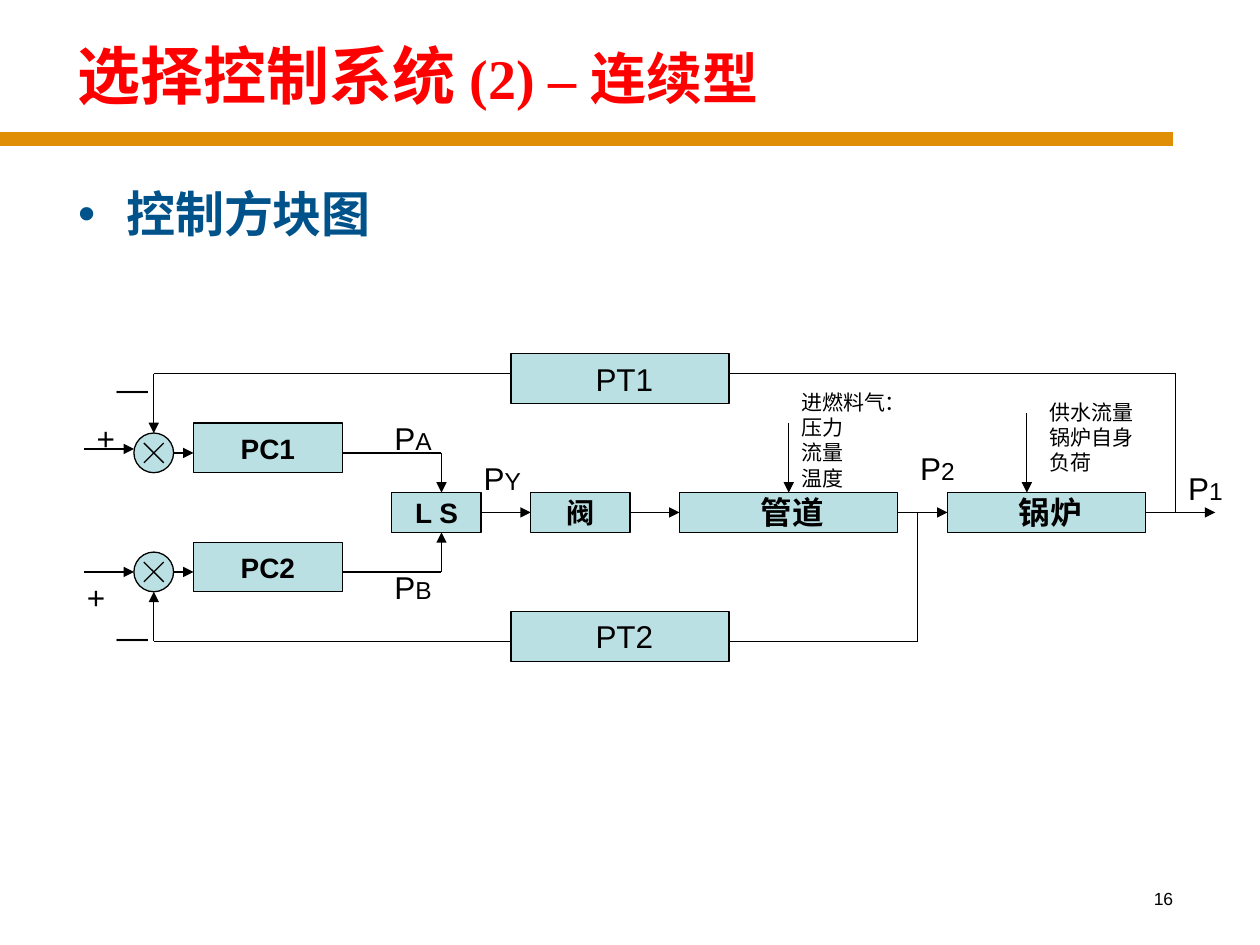
"""Build a slide with the block diagram of a continuous selective control system."""
from dataclasses import dataclass
from typing import Any, Optional

from lxml import etree
from pptx import Presentation
from pptx import util as u
from pptx.dml.color import RGBColor
from pptx.enum import shapes, text
from pptx.oxml.ns import qn


@dataclass(frozen=True)
class Theme:
    title: str = "FF0000"
    body: str = "00528B"
    bar: str = "DF8E05"
    ink: str = "000000"
    block: str = "BBE0E3"
    sans: str = "Arial"
    serif: str = "Times New Roman"
    title_size: int = 36
    subtitle_size: int = 32
    body_size: int = 28
    large: int = 18
    medium: int = 16
    subscript: int = 14
    note: int = 12
    number: int = 10
    line: float = 0.75
    bar_line: float = 8


THEME = Theme()


@dataclass(frozen=True)
class Run:
    text: str
    size: float = THEME.large
    bold: bool = False
    color: str = THEME.ink
    font: str = THEME.sans


@dataclass(frozen=True)
class Block:
    left: float
    top: float
    width: float
    height: float
    run: Run


@dataclass(frozen=True)
class Label:
    left: float
    top: float
    width: float
    height: float
    lines: tuple[tuple[Run, ...], ...]
    wrap: bool = True
    align: Any = text.PP_ALIGN.LEFT


@dataclass(frozen=True)
class Wire:
    x1: float
    y1: float
    x2: float
    y2: float
    arrow: bool = True
    source: Optional[tuple[str, int]] = None
    target: Optional[tuple[str, int]] = None


def apply(target: Any, values: dict[str, Any]) -> None:
    """Set every named attribute on the target."""
    for name, value in values.items():
        setattr(target, name, value)


def place(shape: Any, left: float, top: float, width: float, height: float) -> None:
    """Move and size a shape in centimetres."""
    apply(shape, {"left": u.Cm(left), "top": u.Cm(top), "width": u.Cm(width), "height": u.Cm(height)})


def write(paragraph: Any, runs: tuple[Run, ...], align: Any = text.PP_ALIGN.LEFT) -> None:
    """Write formatted runs into a paragraph."""
    apply(paragraph, {"alignment": align, "space_before": u.Pt(0)})
    for item in runs:
        run = paragraph.add_run()
        run.text = item.text
        apply(run.font, {"name": item.font, "size": u.Pt(item.size), "bold": item.bold})
        run.font.color.rgb = RGBColor.from_string(item.color)


def fill_placeholder(shape: Any, box: tuple[float, ...], runs: tuple[Run, ...], anchor: Any) -> Any:
    """Place a placeholder, fill it and return its paragraph."""
    place(shape, *box)
    apply(shape.text_frame, {"vertical_anchor": anchor, "auto_size": text.MSO_AUTO_SIZE.NONE})
    paragraph = shape.text_frame.paragraphs[0]
    write(paragraph, runs)
    return paragraph


def indent(paragraph: Any, left: float, first: float) -> Any:
    """Set the paragraph indents and return its properties element."""
    properties = paragraph._p.get_or_add_pPr()
    properties.set("marL", str(u.Cm(left)))
    properties.set("indent", str(u.Cm(first)))
    return properties


def add_bullet(properties: Any, color: str) -> None:
    """Add a coloured round bullet to paragraph properties."""
    bullet_color = etree.SubElement(properties, qn("a:buClr"))
    etree.SubElement(bullet_color, qn("a:srgbClr")).set("val", color)
    etree.SubElement(properties, qn("a:buFont")).set("typeface", THEME.sans)
    etree.SubElement(properties, qn("a:buChar")).set("char", "•")


def add_wire(parent: Any, wire: Wire, blocks: dict[str, Any],
             color: str = THEME.ink, width: float = THEME.line) -> None:
    """Draw a straight connector, joined to blocks where they are named."""
    connector = parent.add_connector(
        shapes.MSO_CONNECTOR.STRAIGHT, *(u.Cm(v) for v in (wire.x1, wire.y1, wire.x2, wire.y2)))
    if wire.source:
        connector.begin_connect(blocks[wire.source[0]], wire.source[1])
    if wire.target:
        connector.end_connect(blocks[wire.target[0]], wire.target[1])
    connector.line.color.rgb = RGBColor.from_string(color)
    connector.line.width = u.Pt(width)
    if wire.arrow:
        etree.SubElement(connector.line._get_or_add_ln(), qn("a:tailEnd")).set("type", "triangle")
    etree.SubElement(connector._element.spPr, qn("a:effectLst"))


def add_filled(parent: Any, kind: Any, box: tuple[float, ...]) -> Any:
    """Draw a filled and outlined preset shape."""
    shape = parent.add_shape(kind, *(u.Cm(v) for v in box))
    shape.shadow.inherit = False
    shape.fill.solid()
    shape.fill.fore_color.rgb = RGBColor.from_string(THEME.block)
    shape.line.color.rgb = RGBColor.from_string(THEME.ink)
    shape.line.width = u.Pt(THEME.line)
    return shape


def add_block(parent: Any, block: Block) -> Any:
    """Draw a labelled rectangle."""
    box = (block.left, block.top, block.width, block.height)
    shape = add_filled(parent, shapes.MSO_SHAPE.RECTANGLE, box)
    apply(shape.text_frame, {"word_wrap": False, "vertical_anchor": text.MSO_ANCHOR.MIDDLE})
    write(shape.text_frame.paragraphs[0], (block.run,), text.PP_ALIGN.CENTER)
    return shape


def add_junction(parent: Any, x: float, y: float) -> None:
    """Draw a crossed summing circle centred on a point."""
    group = parent.add_group_shape().shapes
    add_filled(group, shapes.MSO_SHAPE.OVAL, (x - 0.4, y - 0.4, 0.8, 0.8))
    for side in (-0.2, 0.2):
        add_wire(group, Wire(x - side, y - 0.2, x + side, y + 0.2, False), {})


def add_label(parent: Any, label: Label) -> None:
    """Draw a text box with one paragraph per line."""
    shape = parent.add_textbox(*(u.Cm(v) for v in (label.left, label.top, label.width, label.height)))
    frame = shape.text_frame
    frame.word_wrap = label.wrap
    for index, runs in enumerate(label.lines):
        write(frame.add_paragraph() if index else frame.paragraphs[0], runs, label.align)


def signal(left: float, top: float, suffix: str) -> Label:
    """Describe a pressure label with a small suffix."""
    return Label(left, top, 1.4, 1.02, ((Run("P"), Run(suffix, THEME.subscript)),), wrap=False)


def sign(left: float, top: float, mark: str) -> Label:
    """Describe the sign beside a summing junction."""
    return Label(left, top, 1.2, 1.02, ((Run(mark),),))


def note(left: float, top: float, width: float, *lines: str) -> Label:
    """Describe a small disturbance note."""
    return Label(left, top, width, 0.52 * len(lines) + 0.25, tuple((Run(line, THEME.note),) for line in lines))


BLOCKS = {
    "PC1": Block(3.9, 8.53, 3, 1, Run("PC1", THEME.medium, True)),
    "PC2": Block(3.9, 10.93, 3, 1, Run("PC2", THEME.medium, True)),
    "PT1": Block(10.3, 7.13, 4.4, 1, Run(" PT1")),
    "PT2": Block(10.3, 12.33, 4.4, 1, Run(" PT2")),
    "selector": Block(7.9, 9.93, 1.8, 0.8, Run("L S", THEME.medium, True)),
    "valve": Block(10.7, 9.93, 2, 0.8, Run("阀", THEME.medium, True)),
    "pipe": Block(13.7, 9.93, 4.4, 0.8, Run(" 管道", bold=True)),
    "boiler": Block(19.1, 9.93, 4, 0.8, Run(" 锅炉", bold=True)),
}
WIRES = [
    Wire(1.7, 9.05, 2.7, 9.05), Wire(1.7, 11.53, 2.7, 11.53),
    Wire(3.5, 9.13, 3.9, 9.13), Wire(3.5, 11.53, 3.9, 11.53),
    Wire(3.1, 7.53, 3.1, 8.73), Wire(3.1, 12.93, 3.1, 11.93),
    Wire(6.9, 9.13, 8.9, 9.13, False), Wire(6.9, 11.53, 8.9, 11.53, False),
    Wire(8.9, 9.13, 8.9, 9.93), Wire(8.9, 11.53, 8.9, 10.73),
    Wire(9.7, 10.33, 10.7, 10.33, source=("selector", 3), target=("valve", 1)),
    Wire(12.7, 10.33, 13.7, 10.33, source=("valve", 3), target=("pipe", 1)),
    Wire(18.1, 10.33, 19.1, 10.33, source=("pipe", 3), target=("boiler", 1)),
    Wire(23.1, 10.33, 24.5, 10.33, source=("boiler", 3)),
    Wire(10.3, 7.53, 3.1, 7.53, False), Wire(10.3, 12.93, 3.1, 12.93, False),
    Wire(14.7, 7.53, 23.7, 7.53, False), Wire(14.7, 12.93, 18.5, 12.93, False),
    Wire(23.7, 10.33, 23.7, 7.53, False), Wire(18.5, 10.33, 18.5, 12.93, False),
    Wire(15.9, 8.53, 15.9, 9.93, target=("pipe", 0)), Wire(20.7, 8.33, 20.7, 9.93),
]
LABELS = [
    signal(7.7, 8.33, "A"), signal(9.5, 9.13, "Y"), signal(7.7, 11.33, "B"),
    signal(23.7, 9.33, "1"), signal(18.3, 8.93, "2"),
    note(15.9, 7.73, 2.8, "进燃料气：", "压力", "流量", "温度"),
    note(20.9, 7.93, 2.4, "供水流量", "锅炉自身", "负荷"),
    sign(1.7, 8.33, "+"), sign(1.5, 11.53, "+"), sign(2.1, 7.32, "—"), sign(2.1, 12.32, "—"),
    Label(18.62, 17.78, 5.28, 1.27, ((Run("16", THEME.number),),), align=text.PP_ALIGN.RIGHT),
]


def main() -> None:
    """Build and save the presentation."""
    presentation = Presentation()
    apply(presentation, {"slide_width": u.Cm(25.4), "slide_height": u.Cm(19.05)})
    slide = presentation.slides.add_slide(presentation.slide_layouts[1])
    canvas = slide.shapes
    heading = (Run("选择控制系统 ", THEME.title_size, True, THEME.title),
               Run("(2) – 连续型", THEME.subtitle_size, True, THEME.title, THEME.serif))
    title = fill_placeholder(canvas.title, (1.07, 0.43, 22.86, 2.13), heading, text.MSO_ANCHOR.MIDDLE)
    indent(title, 0.23, 0)
    topic = (Run("控制方块图", THEME.body_size, True, THEME.body),)
    body = fill_placeholder(slide.placeholders[1], (1.07, 3.58, 22.25, 1.75), topic, text.MSO_ANCHOR.TOP)
    add_bullet(indent(body, 1.22, -0.97), THEME.body)
    add_wire(canvas, Wire(0, 2.8, 23.65, 2.8, False), {}, THEME.bar, THEME.bar_line)
    blocks = {name: add_block(canvas, block) for name, block in BLOCKS.items()}
    for y in (9.13, 11.53):
        add_junction(canvas, 3.1, y)
    for wire in WIRES:
        add_wire(canvas, wire, blocks)
    for label in LABELS:
        add_label(canvas, label)
    presentation.save("out.pptx")


if __name__ == "__main__":
    main()
